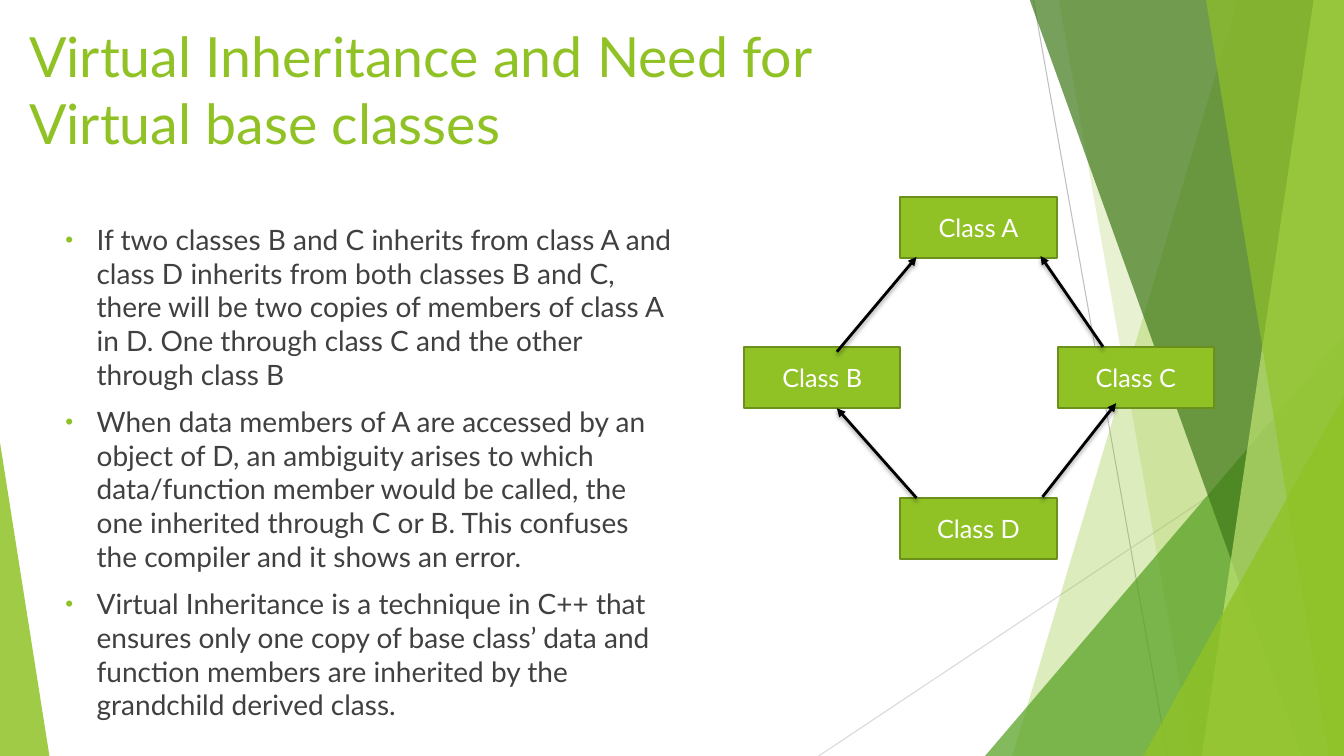
"""Build the slide on virtual inheritance in C++."""
import pptx
import pptx.dml.color
import pptx.enum.shapes
import pptx.enum.text
import pptx.oxml
import pptx.oxml.ns
import pptx.util

Inches = pptx.util.Inches
Pt = pptx.util.Pt
SHAPE = pptx.enum.shapes.MSO_SHAPE
ANCHOR = pptx.enum.text.MSO_ANCHOR
ALIGN = pptx.enum.text.PP_ALIGN

GREEN = "90C226"
WIDE, HIGH, TOP = 13.33, 7.5, -0.01
BOX_W, BOX_H = 1.55, 0.61

TITLE = "Virtual Inheritance and Need for Virtual base classes"
POINTS = [
    "If two classes B and C inherits from class A and class D inherits from both "
    "classes B and C, there will be two copies of members of class A in D. One "
    "through class C and the other through class B",
    "When data members of A are accessed by an object of D, an ambiguity arises to "
    "which data/function member would be called, the one inherited through C or B. "
    "This confuses the compiler and it shows an error.",
    "Virtual Inheritance is a technique in C++ that ensures only one copy of base "
    "class\u2019 data and function members are inherited by the grandchild derived class.",
]
CLASSES = [("A", 8.93, 1.95), ("B", 7.38, 3.44), ("C", 10.49, 3.44), ("D", 8.93, 4.94)]
ARROWS = [
    ((9.09, 4.94), (8.3, 4.05)),
    ((8.3, 3.49), (9.09, 2.55)),
    ((10.34, 4.93), (11.07, 4)),
    ((10.94, 3.44), (10.32, 2.54)),
]


def color(code):
    """Return a colour from its hex string."""
    return pptx.dml.color.RGBColor.from_string(code)


def add_xml(parent, text):
    """Append an element in the drawing namespace and return it."""
    head, rest = text.split(" ", 1)
    node = pptx.oxml.parse_xml(f"{head} {pptx.oxml.ns.nsdecls('a')} {rest}")
    parent.append(node)
    return node


def paint(shape, code, alpha=100):
    """Fill a shape with a colour of the given opacity, without outline."""
    shape.shadow.inherit = False
    shape.fill.solid()
    shape.fill.fore_color.rgb = color(code)
    shape.line.fill.background()
    if alpha < 100:
        tint = shape.fill._xPr.find(".//" + pptx.oxml.ns.qn("a:srgbClr"))
        add_xml(tint, f'<a:alpha val="{alpha * 1000}"/>')


def facet(slide, points, code, alpha):
    """Draw a translucent polygon."""
    spots = [(Inches(x), Inches(y)) for x, y in points]
    maker = slide.shapes.build_freeform(*spots[0], scale=1.0)
    maker.add_line_segments(spots[1:], close=True)
    paint(maker.convert_to_shape(), code, alpha)


def wedge(slide, left, top, width, peak, code, alpha):
    """Draw a translucent triangle that stands on the slide's lower edge."""
    shape = slide.shapes.add_shape(
        SHAPE.ISOSCELES_TRIANGLE, Inches(left), Inches(top), Inches(width), Inches(HIGH - top))
    shape.adjustments[0] = peak
    paint(shape, code, alpha)


def stroke(slide, start, end, code, width):
    """Draw a straight line and return it with its empty effect list."""
    line = slide.shapes.add_connector(
        pptx.enum.shapes.MSO_CONNECTOR.STRAIGHT, *map(Inches, start + end))
    line.line.color.rgb = color(code)
    line.line.width = Pt(width)
    return line, add_xml(line._element.spPr, "<a:effectLst />")


def arrow(slide, start, end):
    """Draw a black arrow with a soft shadow."""
    line, effects = stroke(slide, start, end, "000000", 2)
    add_xml(line.line._get_or_add_ln(), '<a:tailEnd type="triangle"/>')
    add_xml(effects, f'<a:outerShdw blurRad="{Pt(3)}" dist="{Pt(2)}" dir="5400000" '
            'rotWithShape="0"><a:srgbClr val="000000"><a:alpha val="35000"/>'
            '</a:srgbClr></a:outerShdw>')


def style(para, size, code):
    """Set the font of a paragraph."""
    para.font.name = "Lato"
    para.font.size = Pt(size)
    para.font.color.rgb = color(code)


def text_box(slide, left, top, width, height, anchor):
    """Add a wrapping text box and return its frame."""
    box = slide.shapes.add_textbox(*map(Inches, (left, top, width, height)))
    box.text_frame.word_wrap = True
    box.text_frame.vertical_anchor = anchor
    return box.text_frame


def bullets(frame, items):
    """Write the items as bulleted paragraphs."""
    frame.text = "\n".join(items)
    for para in frame.paragraphs:
        para.space_before = Pt(10)
        props = para._p.get_or_add_pPr()
        props.set("marL", str(Inches(0.31)))
        props.set("indent", str(-Inches(0.31)))
        add_xml(props, f'<a:buClr ><a:srgbClr val="{GREEN}"/></a:buClr>')
        add_xml(props, '<a:buSzPct val="80000"/>')
        add_xml(props, '<a:buFont typeface="Arial"/>')
        add_xml(props, '<a:buChar char="\u2022"/>')
        style(para, 20, "404040")


def class_box(slide, name, left, top):
    """Draw the box of one class."""
    box = slide.shapes.add_shape(
        SHAPE.RECTANGLE, *map(Inches, (left, top, BOX_W, BOX_H)))
    paint(box, GREEN)
    box.line.color.rgb = color("6B901C")
    box.line.width = Pt(1.5)
    frame = box.text_frame
    frame.text = f"Class {name}"
    frame.vertical_anchor = ANCHOR.MIDDLE
    frame.paragraphs[0].alignment = ALIGN.CENTER
    style(frame.paragraphs[0], 18, "FFFFFF")


def backdrop(slide):
    """Draw the green facets along the slide's edges."""
    def band(upper, lower, code, alpha):
        """Draw a facet that reaches the right edge."""
        facet(slide, [(upper, TOP), (WIDE, TOP), (WIDE, HIGH), (lower, HIGH)], code, alpha)

    stroke(slide, (10.25, 0), (11.58, HIGH), "BFBFBF", 0.75)
    stroke(slide, (WIDE, 4.03), (8.12, HIGH), "D9D9D9", 0.75)
    band(12.28, 10.04, GREEN, 30)
    band(10.5, 11.83, GREEN, 20)
    wedge(slide, 9.77, 3.33, 3.56, 1, "54A021", 72)
    band(10.21, 12.91, "3F7819", 70)
    band(13.03, 11.92, "C0E474", 70)
    band(11.96, 13.18, GREEN, 65)
    wedge(slide, 11.34, 3.93, 1.99, 1, GREEN, 80)
    wedge(slide, 0, 4.39, 0.49, 0, GREEN, 85)


def main():
    """Build and save the slide."""
    deck = pptx.Presentation()
    deck.slide_width, deck.slide_height = Inches(WIDE), Inches(HIGH)
    slide = deck.slides.add_slide(deck.slide_layouts[6])
    backdrop(slide)
    title = text_box(slide, 0.19, 0.49, 8.36, 1.1, ANCHOR.BOTTOM)
    title.text = TITLE
    style(title.paragraphs[0], 39.6, GREEN)
    bullets(text_box(slide, 0.55, 2.16, 6.22, 5.54, ANCHOR.TOP), POINTS)
    for name, left, top in CLASSES:
        class_box(slide, name, left, top)
    for start, end in ARROWS:
        arrow(slide, start, end)
    deck.save("out.pptx")


main()
